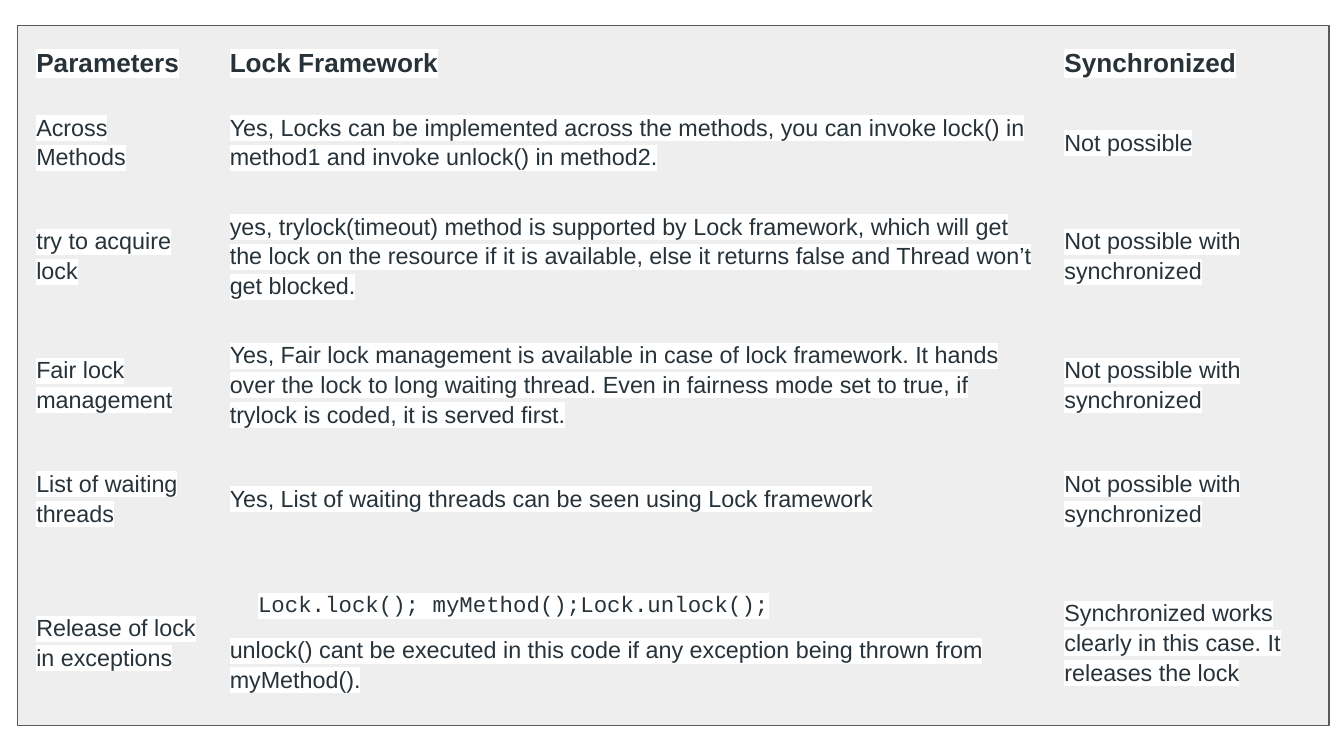
from dataclasses import dataclass

from lxml.etree import SubElement
from pptx import Presentation
from pptx.dml.color import RGBColor
from pptx.enum.shapes import MSO_SHAPE
from pptx.enum.text import MSO_ANCHOR
from pptx.oxml.ns import qn
from pptx.util import Inches, Pt


@dataclass(frozen=True)
class Theme:
    ink: str = "273239"
    mark: str = "FFFFFF"
    panel: str = "EEEEEE"
    edge: str = "595959"
    sans: str = "Arial"
    mono: str = "Courier New"
    head: float = 14
    body: float = 12.5
    code: float = 12
    line: float = 1.15
    no_style: str = "{2D5ABB26-0587-4C30-8999-92F81FD0307C}"


@dataclass(frozen=True)
class Para:
    text: str
    size: float
    font: str = Theme.sans
    bold: bool = False
    gap: float = 0
    indent: float = 0


@dataclass(frozen=True)
class Row:
    height: float
    cells: tuple
    pad: int = Pt(10.5)


THEME = Theme()
COLS = (1.44, 6.21, 2.01)


def head(text: str) -> list[Para]:
    return [Para(text, THEME.head, bold=True)]


def body(text: str) -> list[Para]:
    return [Para(text, THEME.body)]


NO_SYNC = body("Not possible with synchronized")
ROWS = (
    Row(0.45, (head("Parameters"), head("Lock Framework"), head("Synchronized")),
        Inches(0.1)),
    Row(0.72, (
        body("Across Methods"),
        body("Yes, Locks can be implemented across the methods, you can invoke "
             "lock() in method1 and invoke unlock() in method2."),
        body("Not possible"))),
    Row(0.94, (
        body("try to acquire lock"),
        body("yes, trylock(timeout) method is supported by Lock framework, which "
             "will get the lock on the resource if it is available, else it "
             "returns false and Thread won’t get blocked."),
        NO_SYNC)),
    Row(0.94, (
        body("Fair lock management"),
        body("Yes, Fair lock management is available in case of lock framework. "
             "It hands over the lock to long waiting thread. Even in fairness "
             "mode set to true, if trylock is coded, it is served first."),
        NO_SYNC)),
    Row(0.72, (
        body("List of waiting threads"),
        body("Yes, List of waiting threads can be seen using Lock framework"),
        NO_SYNC)),
    Row(1.41, (
        body("Release of lock in exceptions"),
        [Para("Lock.lock(); myMethod();Lock.unlock();", THEME.code, THEME.mono,
              indent=0.21),
         Para("unlock() cant be executed in this code if any exception being "
              "thrown from myMethod().", THEME.body, gap=8)],
        body("Synchronized works clearly in this case. It releases the lock"))),
)


def rgb(code: str) -> RGBColor:
    return RGBColor.from_string(code)


def add_panel(slide) -> None:
    box = slide.shapes.add_shape(MSO_SHAPE.RECTANGLE, Inches(0.13), Inches(0.19),
                                 Inches(9.76), Inches(5.21))
    box.shadow.inherit = False
    box.fill.solid()
    box.fill.fore_color.rgb = rgb(THEME.panel)
    box.line.color.rgb = rgb(THEME.edge)
    box.line.width = Pt(0.75)


def write(para, item: Para) -> None:
    para.line_spacing = THEME.line
    para.space_before = para.space_after = Pt(item.gap)
    if item.indent:
        props = para._p.get_or_add_pPr()
        props.set("marL", str(Inches(item.indent)))
        props.set("indent", "0")
    run = para.add_run()
    run.text = item.text
    font = run.font
    font.name, font.size, font.bold = item.font, Pt(item.size), item.bold
    font.color.rgb = rgb(THEME.ink)
    # The highlight must follow the text fill
    props = run._r.get_or_add_rPr()
    mark = SubElement(props, qn("a:highlight"))
    SubElement(mark, qn("a:srgbClr")).set("val", THEME.mark)
    props.find(qn("a:solidFill")).addnext(mark)


def fill_cell(cell, items: list[Para], pad: int) -> None:
    cell.fill.background()
    cell.vertical_anchor = MSO_ANCHOR.MIDDLE
    cell.margin_left = cell.margin_right = Inches(0.1)
    cell.margin_top = cell.margin_bottom = pad
    frame = cell.text_frame
    for i, item in enumerate(items):
        write(frame.add_paragraph() if i else frame.paragraphs[0], item)


def add_grid(slide) -> None:
    tall = sum(row.height for row in ROWS)
    grid = slide.shapes.add_table(len(ROWS), len(COLS), Inches(0.17), Inches(0.23),
                                  Inches(sum(COLS)), Inches(tall)).table
    grid.first_row = grid.horz_banding = False
    grid._tbl.tblPr.find(qn("a:tableStyleId")).text = THEME.no_style
    for col, width in zip(grid.columns, COLS):
        col.width = Inches(width)
    for r, row in enumerate(ROWS):
        grid.rows[r].height = Inches(row.height)
        for c, items in enumerate(row.cells):
            fill_cell(grid.cell(r, c), items, row.pad)


def main() -> None:
    deck = Presentation()
    # Widescreen, 16 to 9
    deck.slide_width = Inches(10)
    deck.slide_height = Inches(10) * 9 // 16
    slide = deck.slides.add_slide(deck.slide_layouts[6])
    # Grey panel behind, comparison table on top
    add_panel(slide)
    add_grid(slide)
    deck.save("out.pptx")


if __name__ == "__main__":
    main()
